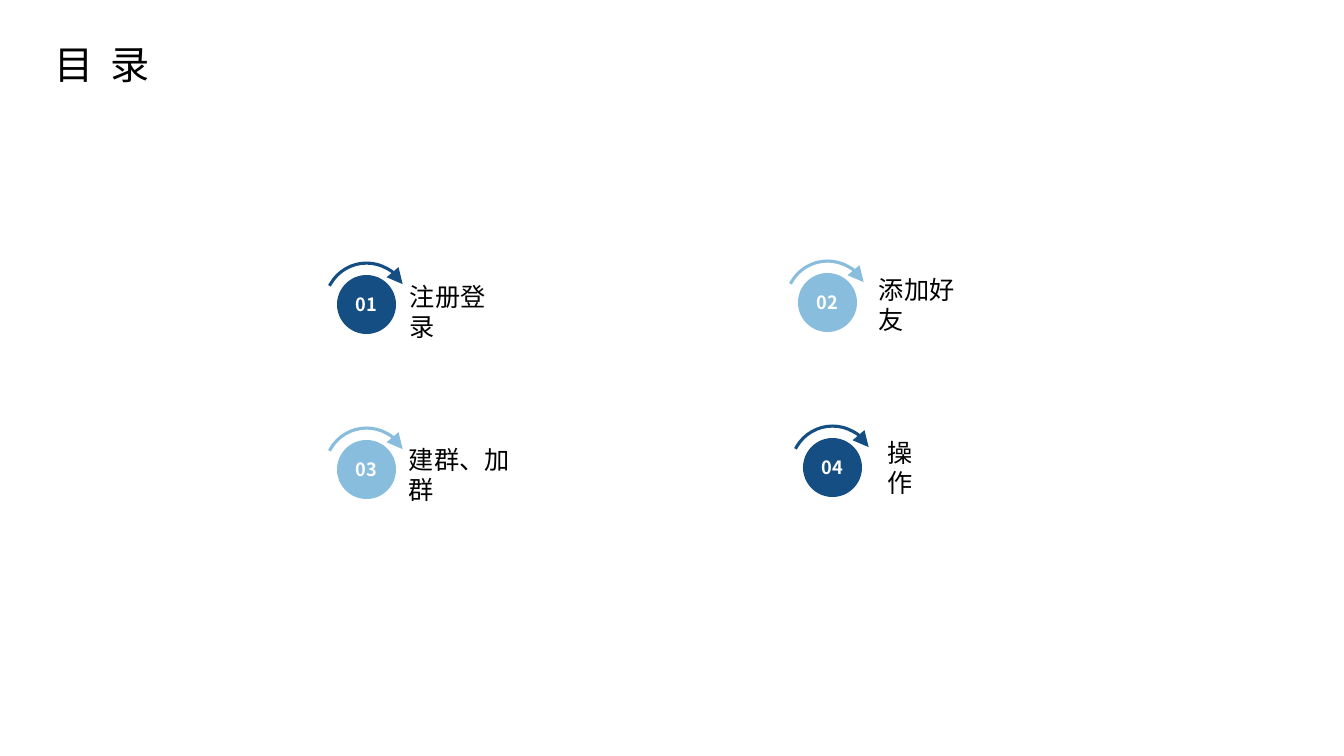
import dataclasses

import lxml.etree
import pptx
import pptx.dml.color
import pptx.enum.shapes
import pptx.enum.text
import pptx.oxml.ns
import pptx.util

EMU_PER_PX = 914400 / 100.8


@dataclasses.dataclass(frozen=True)
class Theme:
    font: str = "Noto Sans CJK SC"
    black: str = "000000"
    white: str = "FFFFFF"
    navy: str = "154E83"
    sky: str = "88BDDE"
    title_size: int = 28
    title_leading: int = 19
    title_gap: int = 6
    label_size: int = 18
    number_size: int = 13
    arc_width: float = 2.25


THEME = Theme()


@dataclasses.dataclass(frozen=True)
class Entry:
    number: str
    label: str
    color: str
    circle_left: int
    circle_top: int
    label_left: int
    label_top: int


ENTRIES = [
    Entry("01", "注册登录", THEME.navy, 337, 275, 400, 276),
    Entry("02", "添加好友", THEME.sky, 798, 273, 869, 269),
    Entry("03", "建群、加群", THEME.sky, 337, 440, 399, 439),
    Entry("04", "操作", THEME.navy, 803, 438, 878, 432),
]


def px(length: int) -> int:
    return round(length * EMU_PER_PX)


def box(left: int, top: int, width: int, height: int) -> tuple[int, ...]:
    return tuple(px(length) for length in (left, top, width, height))


def rgb(color: str) -> pptx.dml.color.RGBColor:
    return pptx.dml.color.RGBColor.from_string(color)


def add_run(paragraph, text: str, size: int, color: str, bold: bool = False):
    run = paragraph.add_run()
    run.text = text
    run.font.size = pptx.util.Pt(size)
    run.font.bold = bold
    run.font.color.rgb = rgb(color)
    run.font.name = THEME.font
    east_asian = lxml.etree.SubElement(
        run.font._element, pptx.oxml.ns.qn("a:ea"))
    east_asian.set("typeface", THEME.font)
    return run


def add_title(slide) -> None:
    title = slide.shapes.title
    title.left, title.top, title.width, title.height = box(44, 56, 151, 39)
    frame = title.text_frame
    frame.word_wrap = True
    frame.auto_size = pptx.enum.text.MSO_AUTO_SIZE.SHAPE_TO_FIT_TEXT
    frame.vertical_anchor = pptx.enum.text.MSO_ANCHOR.TOP
    paragraph = frame.paragraphs[0]
    paragraph.alignment = pptx.enum.text.PP_ALIGN.LEFT
    paragraph.line_spacing = pptx.util.Pt(THEME.title_leading)
    for text in ("目", " ", "录"):
        run = add_run(paragraph, text, THEME.title_size, THEME.black)
        if text == " ":
            run.font._element.set("spc", str(THEME.title_gap * 100))


def add_marker(slide, entry: Entry) -> None:
    left, top = entry.circle_left, entry.circle_top
    shapes = slide.shapes.add_group_shape().shapes
    kinds = pptx.enum.shapes.MSO_SHAPE

    circle = shapes.add_shape(kinds.OVAL, *box(left, top, 59, 59))
    circle.shadow.inherit = False
    circle.fill.solid()
    circle.fill.fore_color.rgb = rgb(entry.color)
    circle.line.fill.background()

    arc = shapes.add_shape(kinds.ARC, *box(left - 12, top - 12, 83, 83))
    arc.shadow.inherit = False
    arc.rotation = 180
    arc.adjustments[0] = 16.07
    arc.adjustments[1] = 90.34
    arc.fill.background()
    arc.line.color.rgb = rgb(entry.color)
    arc.line.width = pptx.util.Pt(THEME.arc_width)
    lxml.etree.SubElement(
        arc.line._get_or_add_ln(), pptx.oxml.ns.qn("a:tailEnd"),
        type="triangle", w="lg", len="lg")

    number = shapes.add_textbox(*box(left - 4, top + 18, 67, 22))
    frame = number.text_frame
    frame.word_wrap = True
    frame.auto_size = pptx.enum.text.MSO_AUTO_SIZE.SHAPE_TO_FIT_TEXT
    frame.margin_left = frame.margin_right = 0
    frame.margin_top = frame.margin_bottom = 0
    paragraph = frame.paragraphs[0]
    paragraph.alignment = pptx.enum.text.PP_ALIGN.CENTER
    add_run(paragraph, entry.number, THEME.number_size, THEME.white, bold=True)


def add_label(slide, entry: Entry) -> None:
    width = 20 + 25 * len(entry.label)
    label = slide.shapes.add_textbox(
        *box(entry.label_left, entry.label_top, width, 40))
    frame = label.text_frame
    frame.word_wrap = False
    frame.auto_size = pptx.enum.text.MSO_AUTO_SIZE.SHAPE_TO_FIT_TEXT
    add_run(frame.paragraphs[0], entry.label, THEME.label_size, THEME.black)


def main() -> None:
    presentation = pptx.Presentation()
    presentation.slide_width = px(1344)
    presentation.slide_height = px(756)
    slide = presentation.slides.add_slide(presentation.slide_layouts[5])
    add_title(slide)
    for entry in ENTRIES:
        add_label(slide, entry)
        add_marker(slide, entry)
    presentation.save("out.pptx")


if __name__ == "__main__":
    main()
